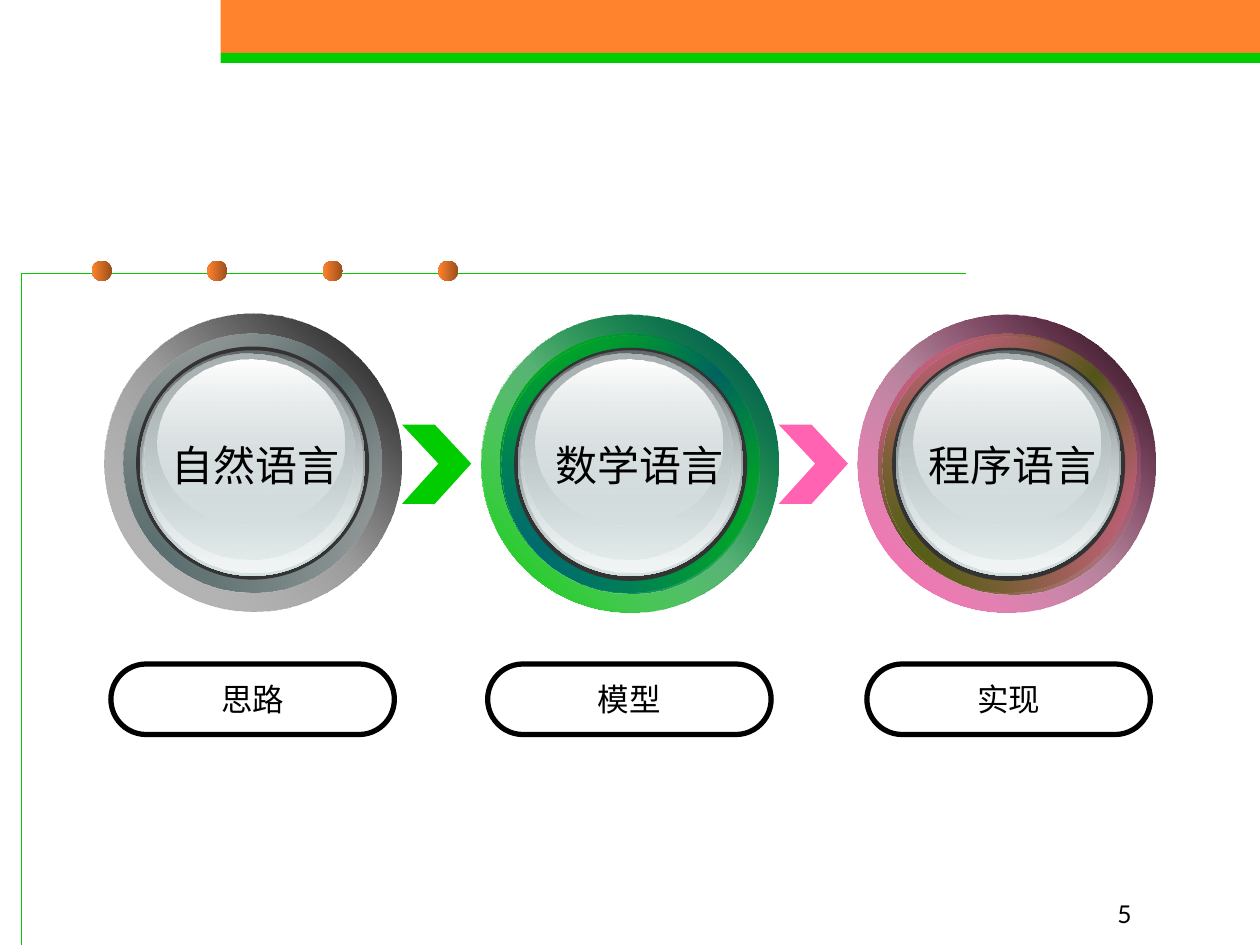
from lxml.etree import SubElement as Sub
from pptx import Presentation
from pptx.dml.color import RGBColor
from pptx.enum.shapes import MSO_SHAPE as Geo
from pptx.enum.text import MSO_ANCHOR as Anchor, MSO_AUTO_SIZE as Auto, PP_ALIGN as Align
from pptx.oxml import parse_xml
from pptx.oxml.ns import nsdecls, qn
from pptx.util import Inches, Pt

# Content: each stage has its words, colours and places
# base: ring colour; shade: (colour, opacity); groove and tint: inner colours
# nudge: x offsets of groove, tint, core and glass; drop: y offsets of the first three
STAGES = [
    dict(name="自然语言", role="思路", left=0.83, top=2.49, text=1.26, pill=0.88,
         base="B2B2B2", shade=("000000", 90), groove="475A5A", tint="53696A",
         nudge=(0.15, 0.15, 0.25, 0.28), drop=(0.16, 0.16, 0.26)),
    dict(name="数学语言", role="模型", left=3.82, top=2.5, text=4.31, pill=3.87,
         base="00CC00", shade=("00475E", 100), groove="00536E", tint="006182",
         nudge=(0.15, 0.16, 0.26, 0.29), drop=(0.15, 0.16, 0.26)),
    dict(name="程序语言", role="实现", left=6.81, top=2.5, text=7.27, pill=6.88,
         base="FF63B1", shade=("000000", 90), groove="375300", tint="416100",
         nudge=(0.16, 0.19, 0.27, 0.3), drop=(0.15, 0.17, 0.26)),
]
# Glass layers: x offset, top, width, height, gradient stops
GLASS = [
    (0, 2.78, 1.79, 1.79, [(0, "636869", 100), (100, "D6E1E2", 100)]),
    (0.02, 2.79, 1.75, 1.75, [(0, "D6E1E2", 0), (100, "F1F5F5", 100)]),
    (0.04, 2.81, 1.66, 1.63, [(0, "AAB2B3", 100), (100, "D6E1E2", 48)]),
    (0.14, 2.85, 1.48, 1.32, [(0, "FFFFFF", 100), (100, "D6E1E2", 38)]),
]
BARS = [(0, 0.42, "FF822D"), (0.42, 0.08, "00CC00")]
ARROWS = [(3.19, "00CC00"), (6.18, "FF63B1")]
CHEVRON = [(0, 3.37), (0.26, 3.37), (0.55, 3.68), (0.26, 4), (0, 4), (0.29, 3.68)]
FRAME = [(0.17, 7.5), (0.17, 2.17), (7.67, 2.17)]

deck = Presentation()
deck.slide_width, deck.slide_height = Inches(10), Inches(7.5)
slide = deck.slides.add_slide(deck.slide_layouts[6])
shapes = slide.shapes


def rgb(code):
    return RGBColor.from_string(code)


def paint(shape, fill=None, line=None, width=1):
    shape.shadow.inherit = False
    if fill:
        shape.fill.solid()
        shape.fill.fore_color.rgb = rgb(fill)
    else:
        shape.fill.background()
    if line:
        shape.line.color.rgb = rgb(line)
        shape.line.width = Pt(width)
    else:
        shape.line.fill.background()
    return shape


def add(geo, box, **look):
    return paint(shapes.add_shape(geo, *map(Inches, box)), **look)


def blend(box, stops, angle):
    """Draw an ellipse with a linear gradient; stops are (place, colour, opacity)."""
    disc = add(Geo.OVAL, box)
    props = disc._element.spPr
    grad = parse_xml(f'<a:gradFill {nsdecls("a")} rotWithShape="1"><a:gsLst/>'
                     f'<a:lin ang="{angle * 60000}" scaled="0"/></a:gradFill>')
    for place, code, alpha in stops:
        stop = Sub(grad[0], qn("a:gs"), pos=str(place * 1000))
        tone = Sub(stop, qn("a:srgbClr"), val=code)
        if alpha < 100:
            Sub(tone, qn("a:alpha"), val=str(alpha * 1000))
    props.replace(props.find(qn("a:noFill")), grad)


def outline(points, closed, **look):
    start, *rest = [(Inches(x), Inches(y)) for x, y in points]
    pen = shapes.build_freeform(*start)
    pen.add_line_segments(rest, close=closed)
    paint(pen.convert_to_shape(), **look)


def write(shape, text, size, font, align=Align.CENTER, **frame):
    body = shape.text_frame
    for key, value in frame.items():
        setattr(body, key, value)
    para = body.paragraphs[0]
    para.alignment = align
    run = para.add_run()
    run.text = text
    for key, value in dict(size=Pt(size), name=font).items():
        setattr(run.font, key, value)
    run.font.color.rgb = rgb("000000")


def label(box, *words, **frame):
    write(shapes.add_textbox(*map(Inches, box)), *words, **frame)


# Header bars, frame line and beads
for top, high, code in BARS:
    add(Geo.RECTANGLE, (1.75, top, 8.25, high), fill=code)
outline(FRAME, False, line="00CC00", width=0.75)
for i in range(4):
    blend((0.73 + i * 0.916, 2.07, 0.16, 0.16),
          [(0, "9A4E1B", 100), (100, "FF822D", 100)], 180)

# Arrows between the stages
for left, code in ARROWS:
    outline([(left + x, y) for x, y in CHEVRON], True, fill=code)

# Round buttons
for s in STAGES:
    left, top, base = s["left"], s["top"], s["base"]
    rim = (left, top, 2.36, 2.36)
    groove, tint, core = [(left + x, top + y, size, size) for x, y, size
                          in zip(s["nudge"], s["drop"], (2.05, 2.05, 1.85))]
    blend(rim, [(0, base, 100), (50, "FFFFFF", 100), (100, base, 100)], 135)
    blend(rim, [(0, *s["shade"]), (100, base, 32)], 135)
    blend(groove, [(0, base, 100), (50, s["groove"], 100), (100, base, 100)], 225)
    blend(tint, [(0, base, 0), (100, s["tint"], 100)], 135)
    add(Geo.OVAL, core, fill="333333")
    for x, y, wide, high, stops in GLASS:
        blend((left + s["nudge"][3] + x, y, wide, high), stops, 90)

# Pills and button names
for s in STAGES:
    pill = add(Geo.ROUNDED_RECTANGLE, (s["pill"], 5.27, 2.25, 0.56), line="000000", width=3)
    pill.adjustments[0] = 0.5
    write(pill, s["role"], 18, "DejaVu Sans", word_wrap=False, vertical_anchor=Anchor.MIDDLE)
    label((s["text"], 3.44, 1.53, 0.5), s["name"], 24, "Arial",
          word_wrap=False, auto_size=Auto.SHAPE_TO_FIT_TEXT)

# Page number
label((7, 6.92, 2.08, 0.5), "5", 14, "Lato", Align.RIGHT,
      word_wrap=True, vertical_anchor=Anchor.BOTTOM)

deck.save("out.pptx")
